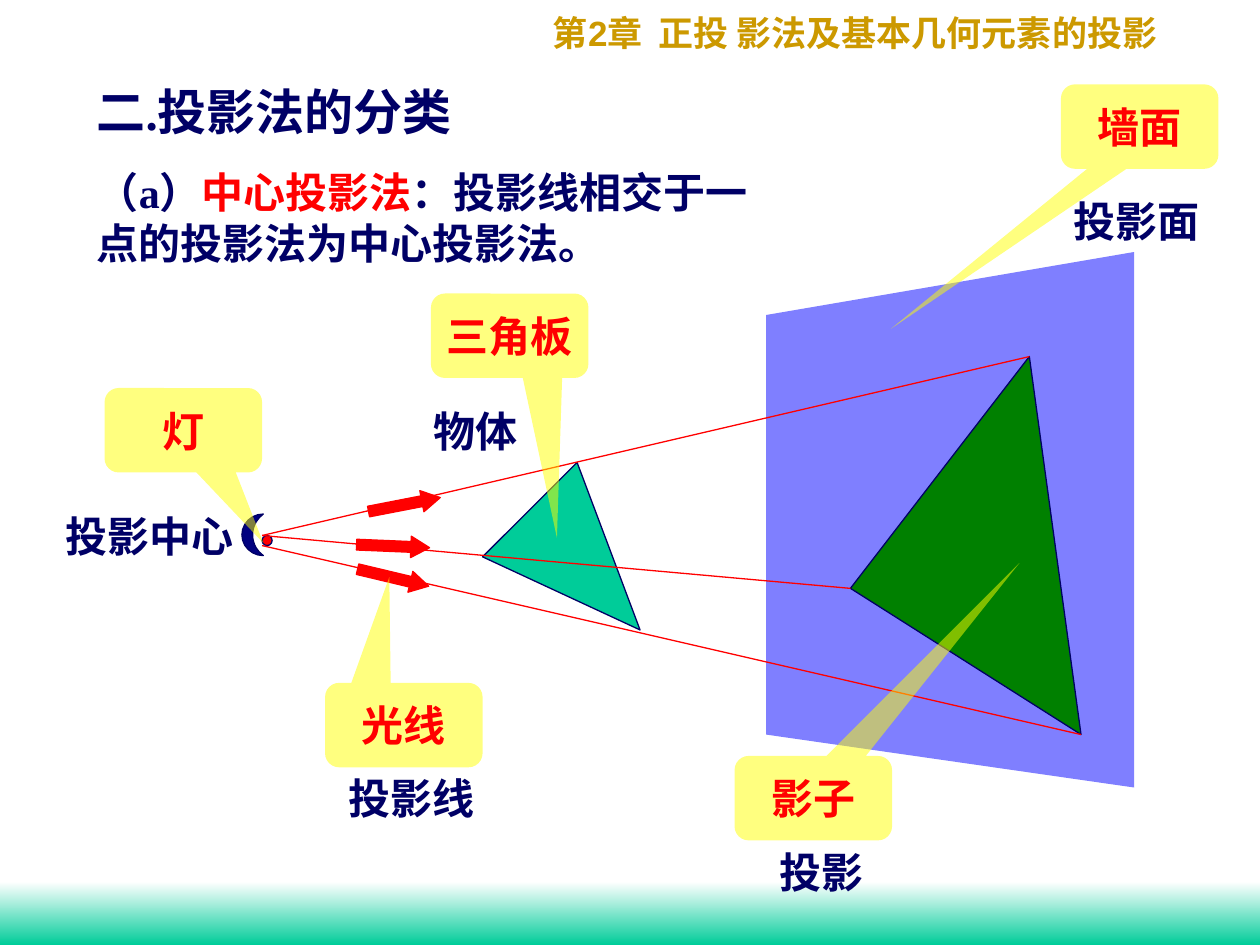
from typing import NamedTuple

from lxml.etree import SubElement
from pptx import Presentation
from pptx.dml.color import RGBColor
from pptx.enum.shapes import MSO_CONNECTOR, MSO_SHAPE
from pptx.enum.text import MSO_ANCHOR, MSO_AUTO_SIZE, PP_ALIGN
from pptx.oxml.ns import qn
from pptx.util import Inches, Pt

COLORS = {
    "white": "FFFFFF", "teal": "00CC99", "gold": "CC9900", "navy": "000066",
    "moon": "000080", "red": "FF0000", "blue": "0000FF", "green": "008000",
    "yellow": "FFFF00",
}
LATIN, CJK = "Times New Roman", "Noto Sans CJK SC"
CALLOUT_SIZE = (1.25, 0.67)
ARROW_SIZE = (0.58, 0.17)
LABEL_POINTS = 24
LABEL_MARGINS = 0.21  # both side insets and a little slack


class Run(NamedTuple):
    text: str
    color: str = "navy"
    font: str = LATIN


class Callout(NamedTuple):
    text: str
    left: float
    top: float
    tip: tuple[float, float]


class Label(NamedTuple):
    text: str
    left: float
    top: float


class RayArrow(NamedTuple):
    left: float
    top: float
    rotation: float


# Geometry of the projection, in inches
LAMP_TOP, LAMP_BOTTOM = (2.08, 4.25), (2.08, 4.33)
OBJECT = [(4.58, 3.67), (3.83, 4.42), (5.08, 5)]
WALL = [(6.08, 2.5), (6.08, 5.83), (9, 6.25), (9, 2)]
SHADOW = [(8.17, 2.83), (6.75, 4.67), (8.58, 5.83)]
RAYS = [(LAMP_TOP, SHADOW[0]), (LAMP_BOTTOM, SHADOW[2]), (LAMP_TOP, SHADOW[1])]
RAY_ARROWS = [RayArrow(2.92, 3.92, 349), RayArrow(2.83, 4.25, 2.4), RayArrow(2.83, 4.5, 13.4)]

CALLOUTS = [
    Callout("三角板", 3.42, 2.33, (4.42, 4.27)),
    Callout("影子", 5.83, 6, (8.09, 4.47)),
    Callout("墙面", 8.42, 0.67, (7.07, 2.61)),
    Callout("光线", 2.58, 5.42, (3.09, 4.58)),
    Callout("灯", 0.83, 3.08, (2.09, 4.31)),
]
LABELS = [
    Label("投影中心", 0.42, 4),
    Label("物体", 3.34, 3.17),
    Label("投影线", 2.67, 6.08),
    Label("投影", 6.09, 6.67),
    Label("投影面", 8.42, 1.5),
]


def rgb(name: str) -> RGBColor:
    return RGBColor.from_string(COLORS[name])


def style(shape, fill: str, line: str | None = None, opacity: int = 100) -> None:
    """Give a shape a solid fill, an optional thin outline and no shadow."""
    shape.shadow.inherit = False
    shape.fill.solid()
    shape.fill.fore_color.rgb = rgb(fill)
    if opacity < 100:
        color = shape.fill._xPr.find(f"{qn('a:solidFill')}/{qn('a:srgbClr')}")
        SubElement(color, qn("a:alpha"), val=str(opacity * 1000))
    if line:
        shape.line.color.rgb = rgb(line)
        shape.line.width = Pt(0.75)
    else:
        shape.line.fill.background()


def write(paragraph, *runs: Run, size: float = LABEL_POINTS, align=PP_ALIGN.LEFT,
          space_before: float = 0) -> None:
    paragraph.alignment = align
    paragraph.space_before = Pt(space_before)
    for item in runs:
        run = paragraph.add_run()
        run.text = item.text
        run.font.size = Pt(size)
        run.font.bold = True
        run.font.color.rgb = rgb(item.color)
        run.font.name = item.font
        SubElement(run.font._element, qn("a:ea"), typeface=CJK)


def add_text_frame(slide, left: float, top: float, width: float, height: float,
                   wrap: bool = True):
    box = slide.shapes.add_textbox(Inches(left), Inches(top), Inches(width), Inches(height))
    box.text_frame.word_wrap = wrap
    box.text_frame.auto_size = MSO_AUTO_SIZE.SHAPE_TO_FIT_TEXT
    return box.text_frame


def add_preset(slide, kind, left: float, top: float, width: float, height: float):
    return slide.shapes.add_shape(
        kind, Inches(left), Inches(top), Inches(width), Inches(height))


def add_polygon(slide, points: list[tuple[float, float]], fill: str,
                line: str | None = None, opacity: int = 100) -> None:
    corners = [(Inches(x), Inches(y)) for x, y in points]
    builder = slide.shapes.build_freeform(*corners[0])
    builder.add_line_segments(corners[1:], close=True)
    style(builder.convert_to_shape(), fill, line, opacity)


def add_ray(slide, start: tuple[float, float], end: tuple[float, float]) -> None:
    ray = slide.shapes.add_connector(
        MSO_CONNECTOR.STRAIGHT, *(Inches(value) for value in start + end))
    ray.line.color.rgb = rgb("red")
    ray.line.width = Pt(0.75)
    SubElement(ray._element.spPr, qn("a:effectLst"))


def add_ray_arrow(slide, arrow: RayArrow) -> None:
    shape = add_preset(slide, MSO_SHAPE.RIGHT_ARROW, arrow.left, arrow.top, *ARROW_SIZE)
    shape.adjustments[1] = 0.875
    shape.rotation = arrow.rotation
    style(shape, "red", "red")


def add_callout(slide, callout: Callout) -> None:
    width, height = CALLOUT_SIZE
    shape = add_preset(slide, MSO_SHAPE.ROUNDED_RECTANGULAR_CALLOUT,
                       callout.left, callout.top, width, height)
    # The tip is measured from the centre, as a share of the size
    shape.adjustments[0] = (callout.tip[0] - callout.left) / width - 0.5
    shape.adjustments[1] = (callout.tip[1] - callout.top) / height - 0.5
    style(shape, "yellow", opacity=50)
    frame = shape.text_frame
    frame.word_wrap = False
    frame.vertical_anchor = MSO_ANCHOR.MIDDLE
    write(frame.paragraphs[0], Run(callout.text, "red"), align=PP_ALIGN.CENTER)


def add_label(slide, label: Label) -> None:
    # Each character is as wide as the text size
    width = len(label.text) * LABEL_POINTS / 72 + LABEL_MARGINS
    frame = add_text_frame(slide, label.left, label.top, width, 0.5, wrap=False)
    write(frame.paragraphs[0], Run(label.text))


def main() -> None:
    presentation = Presentation()
    presentation.slide_width, presentation.slide_height = Inches(10), Inches(7.5)
    slide = presentation.slides.add_slide(presentation.slide_layouts[6])

    # Bottom band and chapter heading
    band = add_preset(slide, MSO_SHAPE.RECTANGLE, 0, 7, 10, 0.5)
    style(band, "white")
    band.fill.gradient()
    band.fill.gradient_angle = 270
    for stop, color in zip(band.fill.gradient_stops, ("white", "teal")):
        stop.color.rgb = rgb(color)
    heading = add_text_frame(slide, 4.29, 0.04, 5.29, 0.44)
    write(heading.paragraphs[0], Run("第", "gold"), Run("2", "gold", "Arial"),
          Run("章  正投 影法及基本几何元素的投影", "gold"), size=20)

    # Set square, wall, lamp and shadow
    add_polygon(slide, OBJECT, "teal", "navy")
    add_polygon(slide, WALL, "blue", opacity=50)
    bulb = add_preset(slide, MSO_SHAPE.FLOWCHART_CONNECTOR, 2.08, 4.25, 0.08, 0.08)
    style(bulb, "red", "navy")
    lampshade = add_preset(slide, MSO_SHAPE.MOON, 1.92, 4.08, 0.17, 0.33)
    style(lampshade, "moon", "navy")
    add_polygon(slide, SHADOW, "green", "navy")

    # Light rays with their directions
    for start, end in RAYS:
        add_ray(slide, start, end)
    for arrow in RAY_ARROWS:
        add_ray_arrow(slide, arrow)

    # Everyday names in callouts, technical names as labels
    for callout in CALLOUTS:
        add_callout(slide, callout)
    for label in LABELS:
        add_label(slide, label)

    # Section title and definition
    definition = add_text_frame(slide, 0.67, 0.6, 5.59, 1.58)
    write(definition.paragraphs[0], Run("二.投影法的分类"), size=28)
    write(definition.add_paragraph(), Run("（a"), Run("）", font=CJK), Run("中心投影法", "red"),
          Run("：投影线相交于一点的投影法为中心投影法。"), space_before=15)

    presentation.save("out.pptx")


if __name__ == "__main__":
    main()
